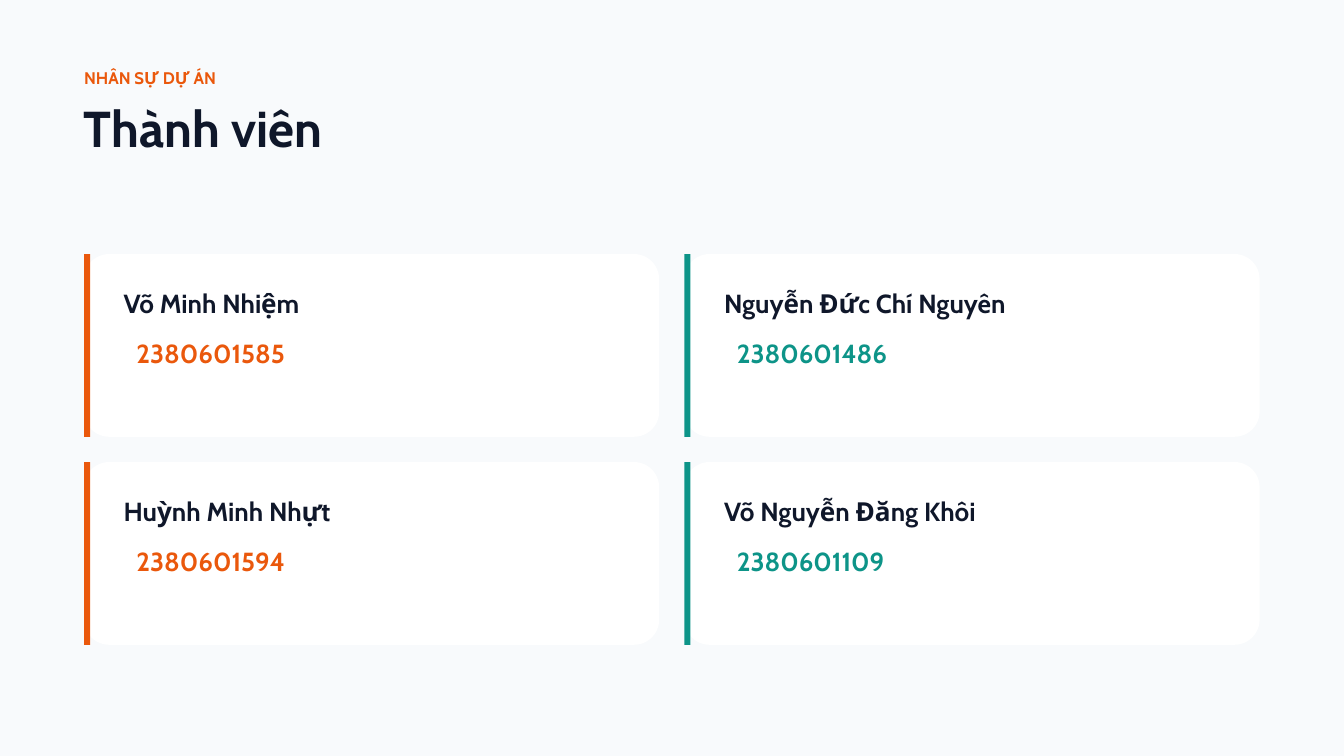
from pptx import Presentation
from pptx.dml.color import RGBColor
from pptx.enum import shapes, text
from pptx.util import Inches, Pt

COLORS = {
    "background": "F8FAFC",
    "card": "FFFFFF",
    "ink": "0F172A",
    "orange": "EA580C",
    "teal": "0D9488",
}
FONT = "Cabin"


def add_block(s, preset, x, y, w, h, color):
    sp = s.shapes.add_shape(preset, Inches(x), Inches(y), Inches(w), Inches(h))
    sp.shadow.inherit = False
    sp.fill.solid()
    sp.fill.fore_color.rgb = RGBColor.from_string(COLORS[color])
    sp.line.fill.background()
    return sp


def add_label(s, words, x, y, w, h, size, color):
    tf = s.shapes.add_textbox(Inches(x), Inches(y), Inches(w), Inches(h)).text_frame
    tf.margin_left = tf.margin_top = tf.margin_right = tf.margin_bottom = 0
    tf.word_wrap = True
    tf.auto_size = text.MSO_AUTO_SIZE.SHAPE_TO_FIT_TEXT
    p = tf.paragraphs[0]
    p.line_spacing = Pt(size * 1.2)
    r = p.add_run()
    r.text = words
    r.font.name = FONT
    r.font.size = Pt(size)
    r.font.bold = True
    r.font.color.rgb = RGBColor.from_string(COLORS[color])


prs = Presentation()
prs.slide_width, prs.slide_height = Inches(20), Inches(11.25)
s = prs.slides.add_slide(prs.slide_layouts[6])
s.background.fill.solid()
s.background.fill.fore_color.rgb = RGBColor.from_string(COLORS["background"])

# Heading
add_label(s, "NHÂN SỰ DỰ ÁN", 1.25, 1, 2.08, 0.29, 18, "orange")
add_label(s, "Thành viên", 1.25, 1.44, 3.86, 0.9, 54, "ink")

# Member cards in a grid of two columns: name, name width, student number
members = [
    ("Võ Minh Nhiệm", 2.8, "2380601585"),
    ("Nguyễn Đức Chí Nguyên", 4.54, "2380601486"),
    ("Huỳnh Minh Nhựt", 3.27, "2380601594"),
    ("Võ Nguyễn Đăng Khôi", 4.02, "2380601109"),
]
CARD_W, CARD_H, RADIUS = 8.56, 2.72, 0.375
GAP = 0.375
accents = ["orange", "teal"]

for i, (name, name_w, number) in enumerate(members):
    row, col = divmod(i, 2)
    x = 1.25 + col * (CARD_W + GAP)
    y = 3.78 + row * (CARD_H + GAP)

    # Card with its accent bar
    card = add_block(s, shapes.MSO_SHAPE.ROUNDED_RECTANGLE, x, y, CARD_W, CARD_H, "card")
    card.adjustments[0] = RADIUS / CARD_H
    add_block(s, shapes.MSO_SHAPE.RECTANGLE, x, y, 0.09, CARD_H, accents[col])

    # Name and number
    add_label(s, name, x + 0.59, y + 0.49, name_w, 0.47, 28, "ink")
    add_label(s, number, x + 0.78, y + 1.24, 2.46, 0.47, 28, accents[col])

prs.save("out.pptx")
